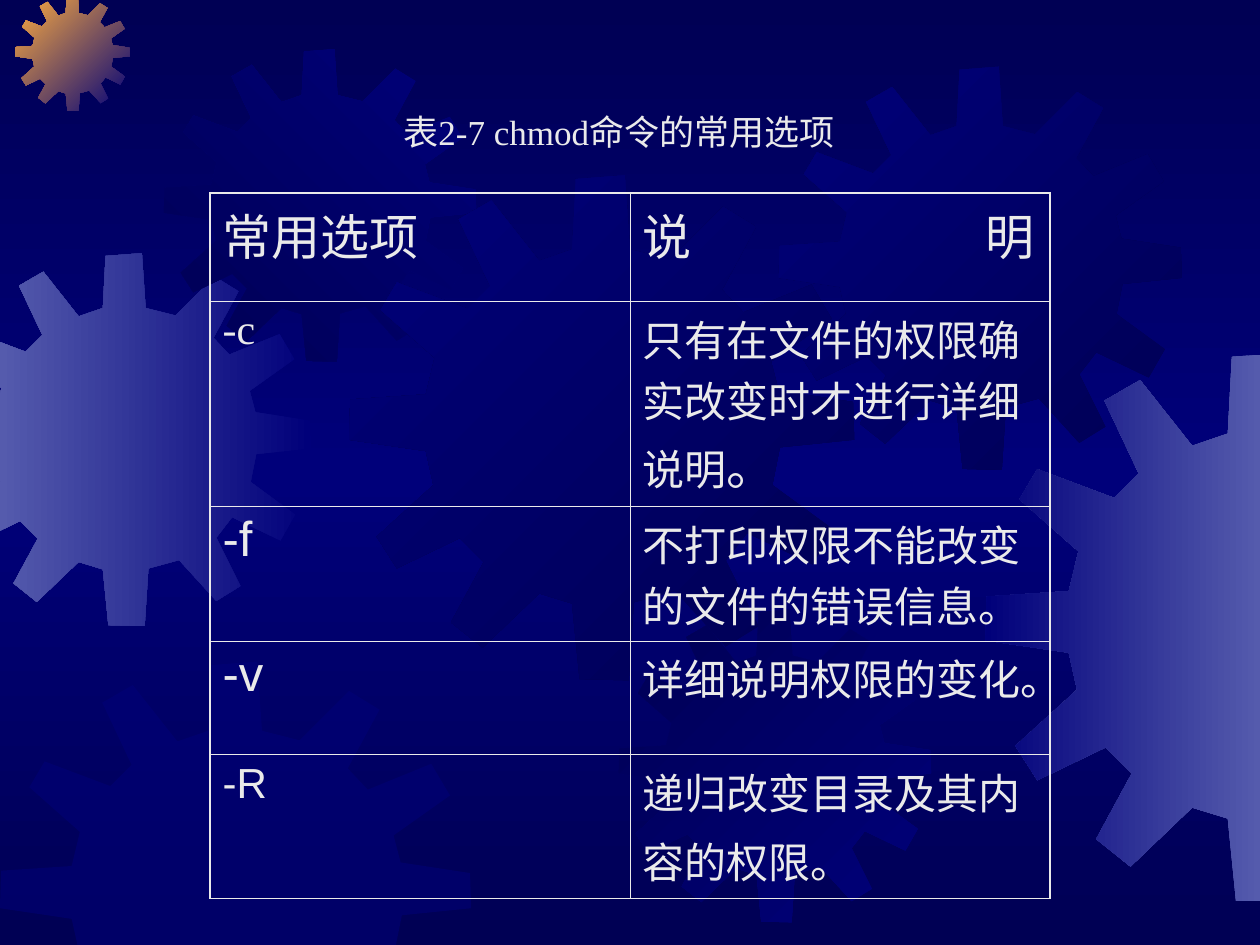
from lxml.etree import SubElement
from copy import deepcopy
from pptx import Presentation
from pptx.dml.color import RGBColor as RGB
from pptx.enum.text import MSO_ANCHOR, MSO_AUTO_SIZE, PP_ALIGN
from pptx.oxml.ns import qn
from pptx.util import Inches, Pt

COLORS = {"navy": "000054", "blue": "00007A", "lilac": "555BAD",
          "orange": "FCAB40", "text": "EAEAEA"}
CJK, SERIF, SANS = "Noto Sans CJK SC", "Times New Roman", "Arial"
W, H = 10, 7.5

# Outline of one gear, in hundredths of a box 4.01 units wide and high
GEAR_SPAN = 401
GEAR = [
    (255, 67), (223, 59), (219, 0), (180, 3), (177, 59), (151, 68), (113, 20),
    (87, 35), (112, 88), (94, 106), (38, 85), (25, 107), (68, 145), (61, 174),
    (1, 178), (0, 210), (61, 219), (67, 246), (22, 287), (38, 312), (88, 288),
    (107, 307), (81, 355), (106, 375), (151, 332), (177, 340), (183, 400),
    (222, 401), (226, 339), (259, 330), (299, 374), (325, 358), (299, 306),
    (316, 284), (368, 309), (384, 281), (336, 246), (342, 216), (401, 210),
    (400, 180), (341, 171), (335, 148), (383, 114), (367, 87), (313, 109),
    (296, 91), (323, 41), (297, 25)]


def clip(pts, axis, limit, sign):
    """Cut a polygon at one slide edge; sign is 1 to keep the larger side."""
    kept = []
    for a, b in zip(pts, pts[1:] + pts[:1]):
        da, db = sign * (a[axis] - limit), sign * (b[axis] - limit)
        if da >= 0:
            kept.append(a)
        if da * db < 0:
            t = da / (da - db)
            kept.append(tuple(u + t * (v - u) for u, v in zip(a, b)))
    return kept


def add_run(p, text, size, font):
    r = p.add_run()
    r.text = text
    r.font.size = Pt(size)
    r.font.color.rgb = RGB.from_string(COLORS["text"])
    r.font.name = font
    SubElement(r.font._element, qn("a:ea"), typeface=CJK)


prs = Presentation()
prs.slide_width, prs.slide_height = Inches(W), Inches(H)
s = prs.slides.add_slide(prs.slide_layouts[5])

# Background: navy, blue, navy from top to bottom
bg = s.background.fill
bg.gradient()
bg.gradient_angle = 270
for stop, name in zip(bg.gradient_stops, ("navy", "blue")):
    stop.color.rgb = RGB.from_string(COLORS[name])
stops = next(s.element.iter(qn("a:gsLst")))
stops.append(deepcopy(stops[0]))
for stop, pos in zip(stops, (0, 50000, 100000)):
    stop.set("pos", str(pos))

# Gears: left, top, size, first colour, last colour, clockwise angle
gears = [
    (-0.49, 2.01, 2.96, "blue", "lilac", 180),
    (0.12, -0.03, 0.91, "blue", "orange", 225),
    (1.3, 0.39, 2.48, "blue", "navy", 135),
    (2.77, 1.39, 4.01, "navy", "blue", 225),
    (0, 5.25, 3.74, "blue", None, 0),
    (4.91, 4.84, 2.48, "blue", "navy", 225),
    (6.18, 0.53, 3.2, "navy", "blue", 225),
    (7.82, 2.8, 4.36, "lilac", "blue", 180),
]
for left, top, size, first, last, angle in gears:
    pts = [(left + x * size / GEAR_SPAN, top + y * size / GEAR_SPAN) for x, y in GEAR]
    for axis, limit, sign in ((0, 0, 1), (0, W, -1), (1, 0, 1), (1, H, -1)):
        pts = clip(pts, axis, limit, sign)
    pts = [(Inches(x), Inches(y)) for x, y in pts]
    outline = s.shapes.build_freeform(*pts[0])
    outline.add_line_segments(pts[1:], close=True)
    sp = outline.convert_to_shape()
    sp.shadow.inherit = False
    sp.line.fill.background()
    if last:
        sp.fill.gradient()
        sp.fill.gradient_angle = 360 - angle
        for stop, name in zip(sp.fill.gradient_stops, (first, last)):
            stop.color.rgb = RGB.from_string(COLORS[name])
    else:
        sp.fill.solid()
        sp.fill.fore_color.rgb = RGB.from_string(COLORS[first])
        clr = next(sp.element.spPr.iter(qn("a:srgbClr")))
        SubElement(clr, qn("a:alpha"), val="50000")

# Table of options: each cell is a list of runs (text, size, font)
rows = [
    (0.86, [("常用选项", 28, CJK)], [("说\t明", 28, CJK)]),
    (1.37, [("-c", 24, SERIF)],
     [("只有在文件的权限确实改变时才进行详细说明", 24, CJK), ("。", 28, CJK)]),
    (0.9, [("-f", 28, SANS)], [("不打印权限不能改变的文件的错误信息。", 24, CJK)]),
    (0.9, [("-v", 28, SANS)], [("详细说明权限的变化。", 24, CJK)]),
    (0.97, [("-R", 24, SANS)],
     [("递归改变目录及其内容的权限。", 24, CJK), (" ", 28, SANS)]),
]
n_rows, n_cols = len(rows), 2
table = s.shapes.add_table(n_rows, n_cols, Inches(W / 6), Inches(1.53),
                           Inches(W * 2 / 3), Inches(5)).table
table.first_row = table.horz_banding = False
for i, (height, *cells) in enumerate(rows):
    table.rows[i].height = Inches(height)
    for j, runs in enumerate(cells):
        cell = table.cell(i, j)
        outer = {"a:lnL": j == 0, "a:lnR": j == n_cols - 1,
                 "a:lnT": i == 0, "a:lnB": i == n_rows - 1}
        tcPr = cell._tc.get_or_add_tcPr()
        for tag, is_outer in outer.items():
            ln = SubElement(tcPr, qn(tag), w=str(Pt(1.08 if is_outer else 0.45)))
            fill = SubElement(ln, qn("a:solidFill"))
            SubElement(fill, qn("a:srgbClr"), val=COLORS["text"])
        cell.fill.background()
        p = cell.text_frame.paragraphs[0]
        for run in runs:
            add_run(p, *run)

# The second heading spreads over seven characters
pPr = table.cell(0, 1).text_frame.paragraphs[0]._p.get_or_add_pPr()
tabs = SubElement(pPr, qn("a:tabLst"))
SubElement(tabs, qn("a:tab"), pos=str(Pt(28 * 7)), algn="l")

# Caption, in front of the gears
title = s.shapes.title
title.element.getparent().append(title.element)
title.left, title.top = Inches(1.58), Inches(0.83)
title.width, title.height = Inches(W * 2 / 3), Inches(0.94)
tf = title.text_frame
tf.word_wrap = True
tf.auto_size = MSO_AUTO_SIZE.NONE
tf.vertical_anchor = MSO_ANCHOR.TOP
p = tf.paragraphs[0]
p.alignment = PP_ALIGN.CENTER
for text, font in (("表", SANS), ("2-7 chmod", SERIF), ("命令的常用选项", SANS)):
    add_run(p, text, 20, font)

prs.save("out.pptx")
